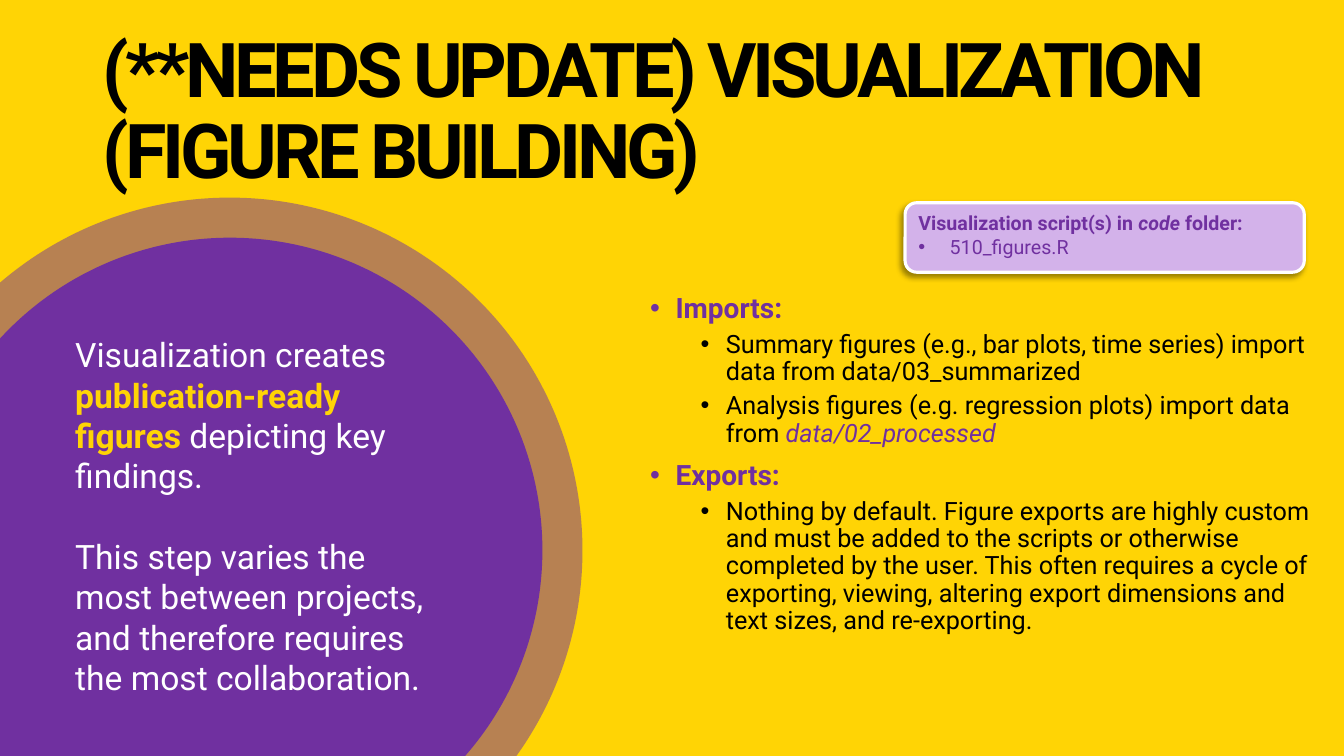
from lxml import etree
from pptx import Presentation
from pptx.dml.color import RGBColor
from pptx.enum.shapes import MSO_SHAPE
from pptx.enum.text import MSO_ANCHOR, MSO_AUTO_SIZE, PP_ALIGN
from pptx.oxml.ns import qn
from pptx.util import Cm, Pt

OVAL, ROUNDED = MSO_SHAPE.OVAL, MSO_SHAPE.ROUNDED_RECTANGLE
TOP, MIDDLE = MSO_ANCHOR.TOP, MSO_ANCHOR.MIDDLE
NO_AUTOFIT = MSO_AUTO_SIZE.NONE
LEFT = PP_ALIGN.LEFT

YELLOW = RGBColor(0xFF, 0xD4, 0x05)
PURPLE = RGBColor(0x70, 0x30, 0xA0)
LILAC = RGBColor(0xD3, 0xB2, 0xEA)
WHITE = RGBColor(0xFF, 0xFF, 0xFF)
BLACK = RGBColor(0x00, 0x00, 0x00)

FONT = "Roboto"

IMPORTS = [
    [("Summary figures (e.g., bar plots, time series) import data from "
      "data/03_summarized", {})],
    [("Analysis figures (e.g. regression plots) import data from ", {}),
     ("data/02_processed", {"color": PURPLE, "italic": True})],
]
EXPORTS = [
    [("Nothing by default. Figure exports are highly custom and must be added "
      "to the scripts or otherwise completed by the user. This often requires "
      "a cycle of exporting, viewing, altering export dimensions and text "
      "sizes, and re-exporting.", {})],
]


def add_text(paragraph, text, size=18, color=BLACK, bold=False, italic=False,
             spacing=None):
    run = paragraph.add_run()
    run.text = text
    font = run.font
    font.name, font.size = FONT, Pt(size)
    font.bold, font.italic = bold, italic
    font.color.rgb = color
    if spacing is not None:
        run._r.get_or_add_rPr().set("spc", str(spacing * 100))


def add_paragraph(frame, indent=0, hanging=0, bullet=False, before=0,
                  line_spacing=1.0, level=0):
    """Start a paragraph, using the frame's first one while it is empty."""
    first = frame.paragraphs[0]
    is_first = not first.runs
    paragraph = first if is_first else frame.add_paragraph()
    properties = paragraph._p.get_or_add_pPr()
    properties.set("marL", str(Cm(indent)))
    properties.set("indent", str(-Cm(hanging)))
    if bullet:
        etree.SubElement(properties, qn("a:buFont")).set("typeface", "Arial")
        etree.SubElement(properties, qn("a:buChar")).set("char", "•")
    paragraph.level = level
    paragraph.alignment = LEFT
    paragraph.line_spacing = line_spacing
    paragraph.space_before = Pt(0 if is_first else before)
    paragraph.space_after = Pt(0)
    return paragraph


def prepare_frame(shape, anchor=TOP):
    frame = shape.text_frame
    frame.word_wrap = True
    frame.auto_size = NO_AUTOFIT
    frame.vertical_anchor = anchor
    return frame


def place(shape, left, top, width, height):
    shape.left, shape.top = Cm(left), Cm(top)
    shape.width, shape.height = Cm(width), Cm(height)


def add_filled_shape(shapes, kind, left, top, width, height, fill):
    shape = shapes.add_shape(kind, Cm(left), Cm(top), Cm(width), Cm(height))
    shape.shadow.inherit = False
    shape.fill.solid()
    shape.fill.fore_color.rgb = fill
    shape.line.fill.background()
    return shape


def set_opacity(shape, percent):
    color = shape._element.spPr.find(qn("a:solidFill"))[0]
    etree.SubElement(color, qn("a:alpha")).set("val", str(percent * 1000))


def add_soft_shadow(shape):
    effects = shape._element.spPr.find(qn("a:effectLst"))
    shadow = etree.SubElement(
        effects, qn("a:outerShdw"), blurRad=str(Pt(4)), dist=str(Pt(3)),
        dir=str(135 * 60000), algn="tr", rotWithShape="0")
    color = etree.SubElement(shadow, qn("a:srgbClr"), val=str(BLACK))
    etree.SubElement(color, qn("a:alpha"), val="40000")


def fill_title(title):
    place(title, 2.34, 1.02, 31.55, 3.68)
    paragraph = add_paragraph(prepare_frame(title, MIDDLE), line_spacing=0.9)
    add_text(paragraph, "(**NEEDS UPDATE) VISUALIZATION (FIGURE BUILDING)",
             size=54, bold=True, spacing=-3)


def add_summary_circle(slide):
    group = slide.shapes.add_group_shape()
    ring = add_filled_shape(group.shapes, OVAL, -3.1, 4.98, 17.78, 17.78, PURPLE)
    set_opacity(ring, 50)
    circle = add_filled_shape(group.shapes, OVAL, -2.08, 5.99, 15.75, 15.75, PURPLE)
    frame = prepare_frame(circle)
    purpose = add_paragraph(frame, indent=1.42)
    add_text(purpose, "Visualization creates ", size=24, color=WHITE)
    add_text(purpose, "publication-ready figures ", size=24, color=YELLOW, bold=True)
    add_text(purpose, "depicting key findings.", size=24, color=WHITE)
    variation = add_paragraph(frame, indent=1.42, before=28.8)
    add_text(variation, "This step varies the most between projects, and "
             "therefore requires the most collaboration.", size=24, color=WHITE)


def add_script_box(slide):
    box = add_filled_shape(slide.shapes, ROUNDED, 22.81, 5.11, 10.06, 1.75, LILAC)
    box.line.color.rgb = WHITE
    box.line.width = Pt(2.25)
    add_soft_shadow(box)
    frame = prepare_frame(box)
    heading = add_paragraph(frame)
    for text, italic in (("Visualization script(s) in ", False), ("code", True),
                         (" folder:", False)):
        add_text(heading, text, size=14, color=PURPLE, bold=True, italic=italic)
    script = add_paragraph(frame, indent=0.79, hanging=0.79, bullet=True)
    add_text(script, "510_figures.R", size=14, color=PURPLE)


def fill_details(body):
    place(body, 16.13, 7.29, 17.37, 10.41)
    frame = prepare_frame(body)
    for heading, items in (("Imports:", IMPORTS), ("Exports:", EXPORTS)):
        paragraph = add_paragraph(frame, indent=0.64, hanging=0.64, bullet=True,
                                  before=10, line_spacing=0.9)
        add_text(paragraph, heading, size=20, color=PURPLE, bold=True)
        for item in items:
            paragraph = add_paragraph(frame, indent=1.91, hanging=0.64, bullet=True,
                                      before=5, line_spacing=0.9, level=1)
            for text, style in item:
                add_text(paragraph, text, **style)


def main():
    presentation = Presentation()
    presentation.slide_width = Cm(33.87)
    presentation.slide_height = Cm(19.05)
    slide = presentation.slides.add_slide(presentation.slide_layouts[1])

    # Background and title
    slide.background.fill.solid()
    slide.background.fill.fore_color.rgb = YELLOW
    fill_title(slide.shapes.title)

    # Summary on the left
    add_summary_circle(slide)

    # Scripts, imports and exports on the right
    add_script_box(slide)
    fill_details(slide.placeholders[1])

    presentation.save("out.pptx")


if __name__ == "__main__":
    main()
